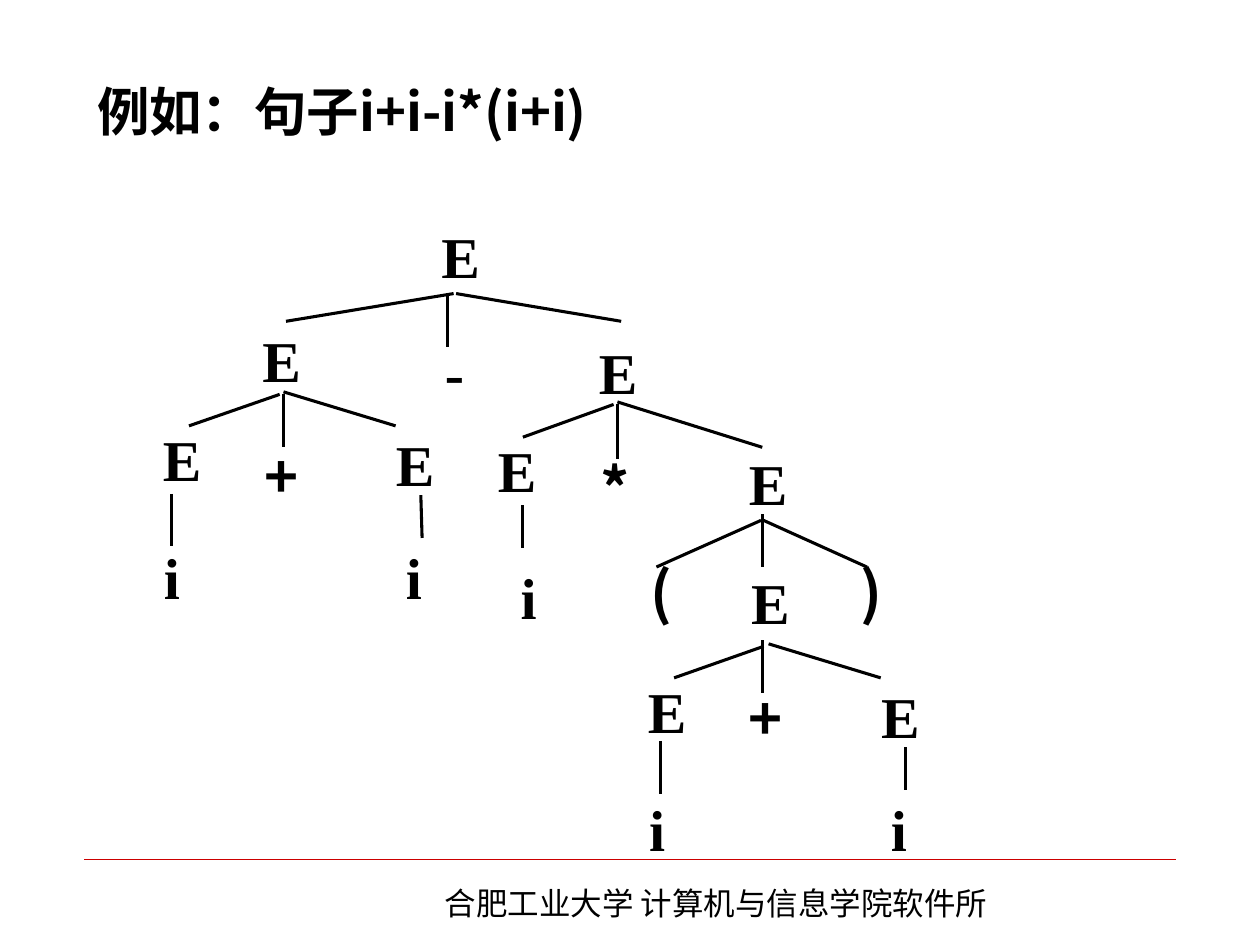
from pptx import Presentation
from pptx.dml.color import RGBColor
from pptx.enum.shapes import MSO_CONNECTOR
from pptx.enum.text import MSO_ANCHOR, MSO_AUTO_SIZE, PP_ALIGN
from pptx.oxml.ns import qn
from pptx.util import Inches, Pt
from lxml.etree import SubElement

COLORS = {"ink": "000000", "rule": "CC0000"}
SANS, SERIF = "Noto Sans CJK SC", "Times New Roman"

# Tree symbols: text, font, width, and the left and top of each place
SYMBOLS = [
    ("E", SERIF, 0.31, [
        (3.5, 1.75), (2.08, 2.58), (4.75, 2.67), (1.29, 3.36), (3.14, 3.4),
        (3.95, 3.45), (5.94, 3.55), (5.96, 4.5), (5.14, 5.36), (6.99, 5.4)]),
    ("i", SERIF, 0.13, [
        (1.3, 4.3), (3.22, 4.3), (4.13, 4.46), (5.15, 6.3), (7.07, 6.3)]),
    ("-", SERIF, 0.15, [(3.53, 2.67)]),
    ("+", SANS, 0.26, [(2.1, 3.5), (5.94, 5.42)]),
    ("*", SANS, 0.25, [(4.76, 3.59)]),
    ("(", SANS, 0.16, [(5.16, 4.42)]),
    (")", SANS, 0.16, [(6.83, 4.42)]),
]

# Tree branches: x1, y1, x2, y2, grouped by parent
BRANCHES = [
    # root
    (3.6, 2.33, 2.27, 2.55), (3.55, 2.33, 3.55, 2.75), (3.62, 2.33, 4.93, 2.55),
    # left sum
    (2.22, 3.13, 1.5, 3.38), (2.25, 3.13, 2.25, 3.55), (2.25, 3.11, 3.14, 3.38),
    # right product
    (4.87, 3.21, 4.15, 3.47), (4.9, 3.21, 4.9, 3.64), (4.9, 3.19, 6.05, 3.55),
    # parentheses
    (6.04, 4.13, 5.21, 4.5), (6.05, 4.08, 6.05, 4.5), (6.06, 4.13, 6.88, 4.5),
    # inner sum
    (6.06, 5.13, 5.35, 5.38), (6.05, 5.08, 6.05, 5.5), (6.1, 5.11, 6.99, 5.38),
    # leaves
    (1.36, 3.92, 1.36, 4.33), (3.34, 3.93, 3.35, 4.27), (4.15, 4.01, 4.15, 4.35),
    (5.24, 5.88, 5.24, 6.3), (7.19, 5.93, 7.19, 6.27),
]


class TreeSlide:
    def __init__(self, prs):
        self.slide = prs.slides.add_slide(prs.slide_layouts[5])

    def style(self, p, font, size, bold=False):
        for r in p.runs:
            r.font.name, r.font.size, r.font.bold = font, Pt(size), bold
            r.font.color.rgb = RGBColor.from_string(COLORS["ink"])
            ea = SubElement(r.font._element, qn("a:ea"))
            ea.set("typeface", SANS)

    def title(self, text, x, y, w, h):
        sp = self.slide.shapes.title
        sp.left, sp.top, sp.width, sp.height = map(Inches, (x, y, w, h))
        tf = sp.text_frame
        tf.text = text
        tf.word_wrap = True
        tf.auto_size = MSO_AUTO_SIZE.NONE
        tf.vertical_anchor = MSO_ANCHOR.TOP
        p = tf.paragraphs[0]
        p.alignment = PP_ALIGN.LEFT
        self.style(p, SANS, 30, bold=True)

    def text(self, text, x, y, w, h, font, size):
        sp = self.slide.shapes.add_textbox(*map(Inches, (x, y, w, h)))
        tf = sp.text_frame
        tf.text = text
        tf.word_wrap = True
        tf.auto_size = MSO_AUTO_SIZE.SHAPE_TO_FIT_TEXT
        self.style(tf.paragraphs[0], font, size)
        return tf

    def symbol(self, text, x, y, w, font):
        tf = self.text(text, x, y, w, 0.55, font, 33)
        tf.word_wrap = False
        tf.margin_left = tf.margin_right = tf.margin_top = tf.margin_bottom = 0
        p = tf.paragraphs[0]
        p.alignment = PP_ALIGN.CENTER
        p.runs[0].font.bold = True

    def line(self, x1, y1, x2, y2, color="ink", width=1.75):
        c = self.slide.shapes.add_connector(
            MSO_CONNECTOR.STRAIGHT, *map(Inches, (x1, y1, x2, y2)))
        c.line.color.rgb = RGBColor.from_string(COLORS[color])
        c.line.width = Pt(width)
        SubElement(c._element.spPr, qn("a:effectLst"))


def main():
    prs = Presentation()
    prs.slide_width, prs.slide_height = Inches(10), Inches(7.5)
    s = TreeSlide(prs)

    # Footer
    s.line(0.67, 6.82, 9.33, 6.82, "rule", 0.25)
    s.text("合肥工业大学 计算机与信息学院软件所", 3.43, 6.97, 4.8, 0.4, SANS, 18)

    # Title
    s.title("例如：句子i+i-i*(i+i)", 0.67, 0.58, 8.5, 0.83)

    # Parse tree
    for text, font, width, places in SYMBOLS:
        for x, y in places:
            s.symbol(text, x, y, width, font)
    for branch in BRANCHES:
        s.line(*branch)

    prs.save("out.pptx")


if __name__ == "__main__":
    main()
